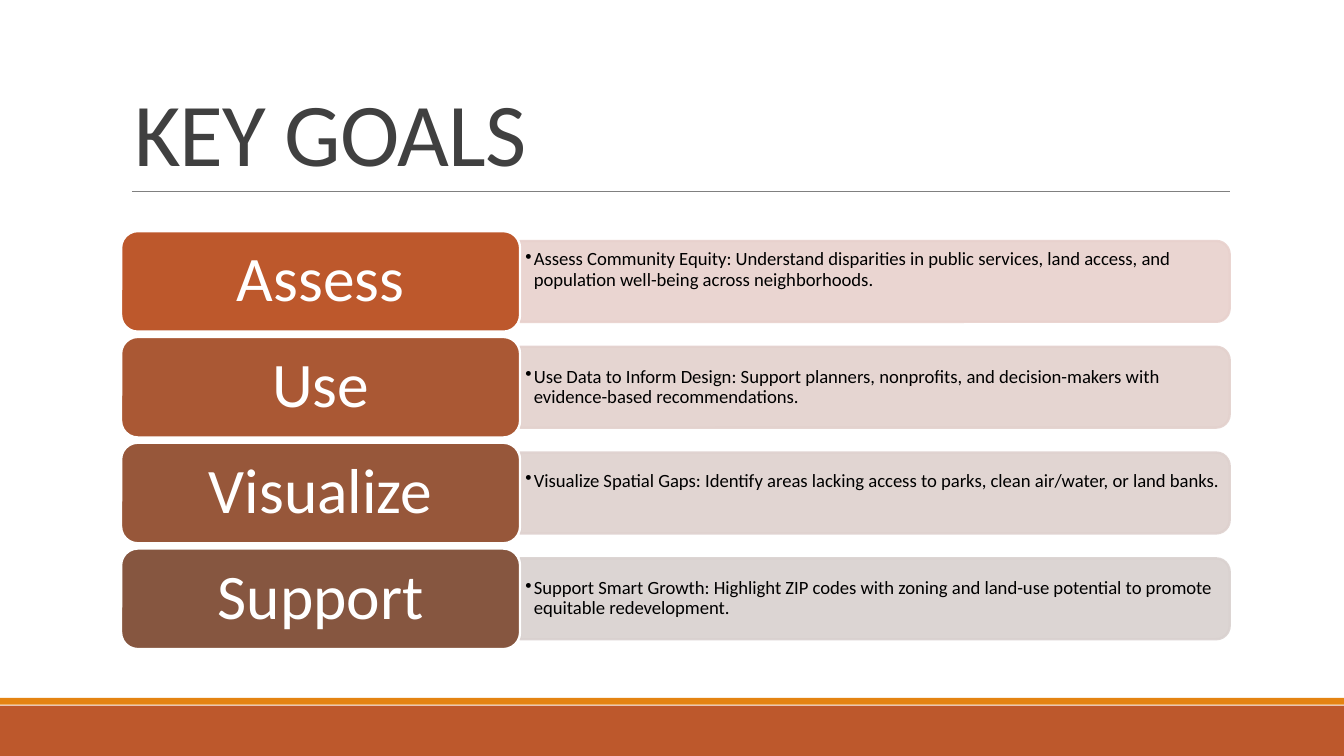
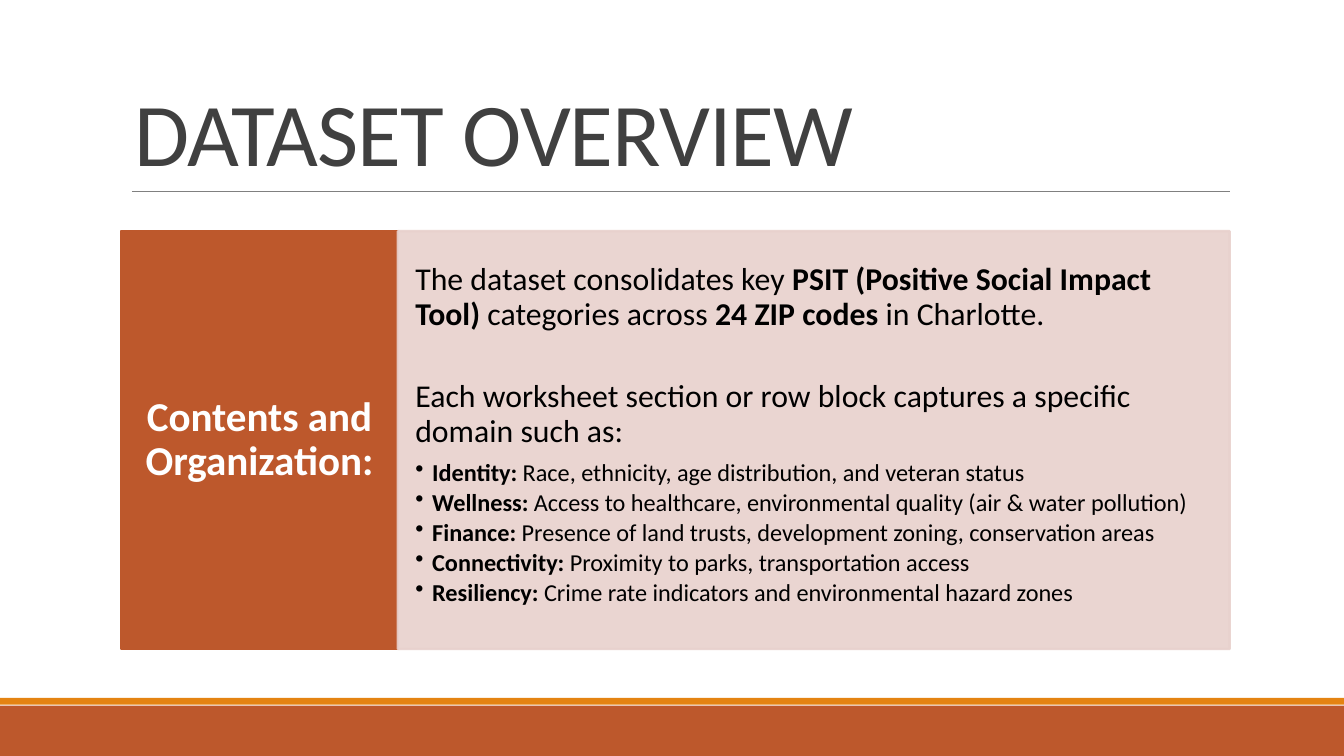
"""Build two slides on the goals and the dataset of a community equity study."""
from dataclasses import dataclass

from lxml import etree
from pptx import Presentation
from pptx.dml.color import RGBColor
from pptx.enum.shapes import MSO_CONNECTOR, MSO_SHAPE
from pptx.enum.text import MSO_ANCHOR, MSO_AUTO_SIZE, PP_ALIGN
from pptx.oxml.ns import qn
from pptx.util import Cm, Pt

RECT = MSO_SHAPE.RECTANGLE
ROUNDED = MSO_SHAPE.ROUNDED_RECTANGLE
ROUNDED_END = MSO_SHAPE.ROUND_2_SAME_RECTANGLE
STRAIGHT = MSO_CONNECTOR.STRAIGHT
TOP, MIDDLE, BOTTOM = MSO_ANCHOR.TOP, MSO_ANCHOR.MIDDLE, MSO_ANCHOR.BOTTOM
LEFT, CENTER = PP_ALIGN.LEFT, PP_ALIGN.CENTER
NO_AUTOFIT = MSO_AUTO_SIZE.NONE

FONT = "Calibri"
WHITE = RGBColor(0xFF, 0xFF, 0xFF)
BLACK = RGBColor(0x00, 0x00, 0x00)
TITLE_GREY = RGBColor(0x40, 0x40, 0x40)
RULE_GREY = RGBColor(0x80, 0x80, 0x80)
RUST = RGBColor(0xBD, 0x58, 0x2C)
ORANGE = RGBColor(0xE4, 0x83, 0x12)
BLUSH = RGBColor(0xE8, 0xD1, 0xCD)

SLIDE_WIDTH, SLIDE_HEIGHT = Cm(25.4), Cm(14.29)
CONTENT_LEFT, CONTENT_TOP = Cm(2.29), Cm(4.37)
CONTENT_WIDTH = Cm(20.95)
CONTENT_RIGHT = CONTENT_LEFT + CONTENT_WIDTH
OUTLINE = Pt(1.25)

ROW_PITCH, LABEL_WIDTH, LABEL_HEIGHT = Cm(2), Cm(7.54), Cm(1.9)
BAR_HEIGHT, DETAIL_HEIGHT = Cm(1.53), Cm(1.37)
PANEL_HEIGHT, HEADING_WIDTH = Cm(7.9), Cm(5.23)


@dataclass(frozen=True)
class Goal:
    """A goal with its label, its detail and the colours of its row."""
    label: str
    detail: str
    label_color: RGBColor
    bar_color: RGBColor
    bottom_inset: Cm = Cm(0.05)


@dataclass(frozen=True)
class Passage:
    """A paragraph of the dataset panel, with bold parts between ** marks."""
    text: str
    size: float = 13
    space_after: float = 2
    bullet_indent: Cm = Cm(0.32)


LIFTED = Cm(0.48)
GOALS = (
    Goal("Assess", "Assess Community Equity: Understand disparities in public services, "
         "land access, and population well-being across neighborhoods.",
         RUST, BLUSH, LIFTED),
    Goal("Use", "Use Data to Inform Design: Support planners, nonprofits, and "
         "decision-makers with evidence-based recommendations.",
         RGBColor(0xAA, 0x58, 0x34), RGBColor(0xE3, 0xD1, 0xCD)),
    Goal("Visualize", "Visualize Spatial Gaps: Identify areas lacking access to parks, "
         "clean air/water, or land banks.",
         RGBColor(0x97, 0x57, 0x3A), RGBColor(0xDE, 0xD1, 0xCE), LIFTED),
    Goal("Support", "Support Smart Growth: Highlight ZIP codes with zoning and land-use "
         "potential to promote equitable redevelopment.",
         RGBColor(0x86, 0x56, 0x40), RGBColor(0xD9, 0xD1, 0xCF)),
)
PASSAGES = (
    Passage("The dataset consolidates key **PSIT (Positive Social Impact Tool)** "
            "categories across **24 ZIP codes** in Charlotte.", 17, 26, Cm(0)),
    Passage("Each worksheet section or row block captures a specific domain such as:",
            17, 6, Cm(0)),
    Passage("**Identity:** Race, ethnicity, age distribution, and veteran status"),
    Passage("**Wellness:** Access to healthcare, environmental quality "
            "(air & water pollution)"),
    Passage("**Finance:** Presence of land trusts, development zoning, "
            "conservation areas"),
    Passage("**Connectivity:** Proximity to parks, transportation access"),
    Passage("**Resiliency:** Crime rate indicators and environmental hazard zones"),
)


def write(paragraph, text: str, *, size: float, color: RGBColor = BLACK, align=LEFT,
          line_spacing: float = 0.9, space_after: float = 0, bullet_indent: int = 0,
          tracking: int = 0) -> None:
    """Write text into a paragraph, with parts between ** marks in bold."""
    paragraph.alignment = align
    paragraph.line_spacing = line_spacing
    paragraph.space_before = Pt(0)
    paragraph.space_after = Pt(space_after)
    if bullet_indent:
        paragraph.level = 1
        properties = paragraph._p.get_or_add_pPr()
        properties.set("marL", str(bullet_indent))
        properties.set("indent", str(-bullet_indent))
        etree.SubElement(properties, qn("a:buChar"), char="•")
    for index, part in enumerate(text.split("**")):
        if not part:
            continue
        run = paragraph.add_run()
        run.text = part
        run.font.name = FONT
        run.font.size = Pt(size)
        run.font.bold = index % 2 == 1
        run.font.color.rgb = color
        if tracking:
            run.font._element.set("spc", str(tracking))


def set_frame(frame, anchor, *, side: int, top: int, bottom: int) -> None:
    """Set wrapping, anchor and insets of a text frame."""
    frame.word_wrap = True
    frame.auto_size = NO_AUTOFIT
    frame.vertical_anchor = anchor
    frame.margin_left = frame.margin_right = side
    frame.margin_top, frame.margin_bottom = top, bottom


def add_block(slide, kind, left: int, top: int, width: int, height: int,
              fill: RGBColor, outline: RGBColor | None = None, opacity: int = 100):
    """Add a filled shape, optionally outlined and translucent."""
    block = slide.shapes.add_shape(kind, left, top, width, height)
    block.shadow.inherit = False
    block.fill.solid()
    block.fill.fore_color.rgb = fill
    if outline is None:
        block.line.fill.background()
    else:
        block.line.color.rgb = outline
        block.line.width = OUTLINE
    if opacity < 100:
        for color in list(block.element.spPr.iter(qn("a:srgbClr"))):
            etree.SubElement(color, qn("a:alpha"), val=str(opacity * 1000))
    return block


def add_titled_slide(deck, title: str):
    """Add a slide with the shared bands, title and rule."""
    slide = deck.slides.add_slide(deck.slide_layouts[5])
    add_block(slide, RECT, 0, Cm(13.34), SLIDE_WIDTH, Cm(0.95), RUST)
    add_block(slide, RECT, 0, Cm(13.19), SLIDE_WIDTH, Cm(0.13), ORANGE)
    rule = slide.shapes.add_connector(STRAIGHT, Cm(2.49), Cm(3.62), CONTENT_RIGHT, Cm(3.62))
    rule.line.color.rgb = RULE_GREY
    rule.line.width = Pt(0.5)
    etree.SubElement(rule.element.spPr, qn("a:effectLst"))
    heading = slide.shapes.title
    heading.left, heading.top = CONTENT_LEFT, Cm(0.61)
    heading.width, heading.height = CONTENT_WIDTH, Cm(3.02)
    set_frame(heading.text_frame, BOTTOM, side=Cm(0.25), top=Cm(0.13), bottom=Cm(0.13))
    write(heading.text_frame.paragraphs[0], title, size=48, color=TITLE_GREY,
          line_spacing=0.85, tracking=-50)
    return slide


def add_goal(slide, goal: Goal, top: int) -> None:
    """Draw one row: the bar, its detail and the label."""
    bar_left = CONTENT_LEFT + LABEL_WIDTH
    bar_length = CONTENT_RIGHT - bar_left
    middle = top + LABEL_HEIGHT // 2
    bar = add_block(slide, ROUNDED_END, bar_left + (bar_length - BAR_HEIGHT) // 2,
                    middle - bar_length // 2, BAR_HEIGHT, bar_length,
                    goal.bar_color, goal.bar_color, 90)
    bar.rotation = 90
    detail = slide.shapes.add_textbox(bar_left, middle - DETAIL_HEIGHT // 2,
                                      Cm(13.34), DETAIL_HEIGHT)
    set_frame(detail.text_frame, MIDDLE, side=Cm(0.1), top=Cm(0.05),
              bottom=goal.bottom_inset)
    write(detail.text_frame.paragraphs[0], goal.detail, size=10, bullet_indent=Cm(0.16))
    label = add_block(slide, ROUNDED, CONTENT_LEFT, top, LABEL_WIDTH, LABEL_HEIGHT,
                      goal.label_color, WHITE)
    set_frame(label.text_frame, MIDDLE, side=Cm(0.45), top=Cm(0.1), bottom=Cm(0.1))
    write(label.text_frame.paragraphs[0], goal.label, size=34, color=WHITE, align=CENTER)


def build_goals(deck) -> None:
    """Build the slide of key goals."""
    slide = add_titled_slide(deck, "KEY GOALS")
    for row, goal in enumerate(GOALS):
        add_goal(slide, goal, CONTENT_TOP + row * ROW_PITCH)


def build_dataset(deck) -> None:
    """Build the slide of the dataset overview."""
    slide = add_titled_slide(deck, "DATASET OVERVIEW")
    heading = add_block(slide, RECT, CONTENT_LEFT, CONTENT_TOP, HEADING_WIDTH,
                        PANEL_HEIGHT, RUST, RUST)
    set_frame(heading.text_frame, MIDDLE, side=Cm(0.38), top=Cm(0.43), bottom=Cm(0.43))
    write(heading.text_frame.paragraphs[0], "**Contents and Organization:**", size=22,
          color=WHITE, align=CENTER)
    panel = add_block(slide, RECT, CONTENT_LEFT + HEADING_WIDTH, CONTENT_TOP,
                      CONTENT_WIDTH - HEADING_WIDTH, PANEL_HEIGHT, BLUSH, BLUSH, 90)
    frame = panel.text_frame
    set_frame(frame, TOP, side=Cm(0.33), top=Cm(0.61), bottom=Cm(0.61))
    for index, passage in enumerate(PASSAGES):
        paragraph = frame.add_paragraph() if index else frame.paragraphs[0]
        write(paragraph, passage.text, size=passage.size,
              space_after=passage.space_after, bullet_indent=passage.bullet_indent)


def main() -> None:
    """Build and save the presentation."""
    deck = Presentation()
    deck.slide_width, deck.slide_height = SLIDE_WIDTH, SLIDE_HEIGHT
    build_goals(deck)
    build_dataset(deck)
    deck.save("out.pptx")


if __name__ == "__main__":
    main()
